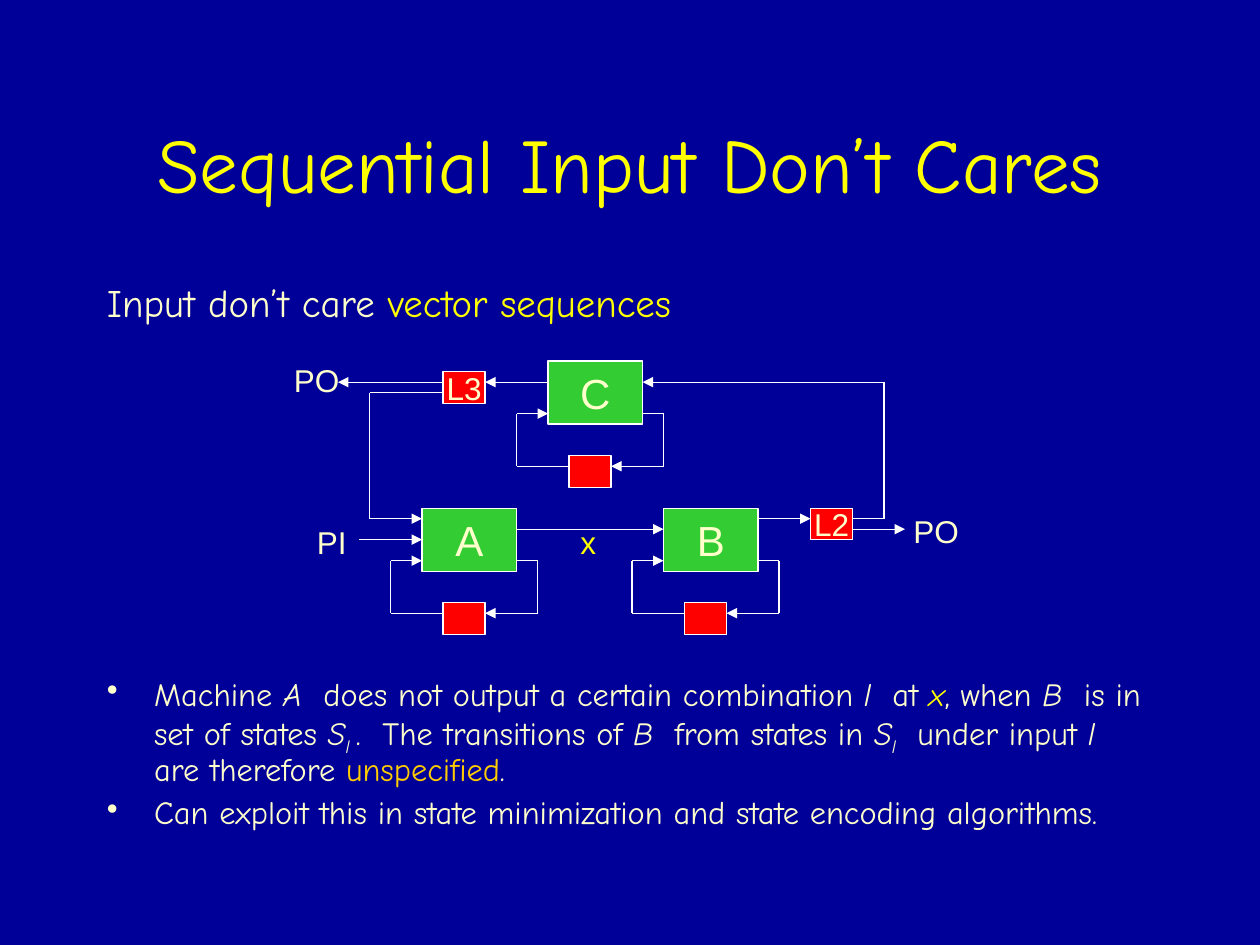
from itertools import pairwise

from pptx import Presentation
from pptx.dml.color import RGBColor
from pptx.enum.shapes import MSO_CONNECTOR as Connector, MSO_SHAPE as Preset
from pptx.enum.text import MSO_ANCHOR as Anchor, PP_ALIGN as Align
from pptx.oxml.ns import qn
from pptx.oxml.xmlchemy import OxmlElement
from pptx.util import Pt

PX = 7620
NAVY, CREAM, YELLOW, GOLD = "000099", "FFFFCC", "FFFF00", "FFCC00"
RED, GREEN, WHITE = "FF0000", "33CC33", "FFFFFF"
HAND, SANS = "Comic Neue", "Arial"
MACHINE, LATCH = (90, 60), (40, 30)
ITALIC = {"italic": True}
SUBSCRIPT = {"italic": True, "baseline": "-25000"}

BULLETS = [
    [("Machine ", {}), ("A", ITALIC), ("  does not output a certain combination ", {}),
     ("l", ITALIC), ("  at ", {}), ("x", {"italic": True, "color": YELLOW}),
     (", when ", {}), ("B", ITALIC), ("  is in set of states ", {}),
     ("S", ITALIC), ("l ", SUBSCRIPT), (".  The transitions of ", {}),
     ("B", ITALIC), ("  from states in ", {}), ("S", ITALIC), ("l", SUBSCRIPT),
     ("  under input ", {}), ("l", ITALIC), ("  are therefore ", {}),
     ("unspecified", {"color": GOLD}), (".", {})],
    [("Can exploit this in state minimization and state encoding algorithms.", {})],
]


def rgb(code):
    """Turn a hex string into a colour."""
    return RGBColor.from_string(code)


def px(*lengths):
    """Turn px lengths into EMU."""
    return [length * PX for length in lengths]


def write(paragraph, runs, size, name, color=CREAM):
    """Add styled runs to a paragraph."""
    for text, style in runs:
        run = paragraph.add_run()
        run.text = text
        look = {"size": Pt(size), "name": name, "italic": style.get("italic", False)}
        for key, value in look.items():
            setattr(run.font, key, value)
        run.font.color.rgb = rgb(style.get("color", color))
        if "baseline" in style:
            run.font._element.set("baseline", style["baseline"])


def text_frame(slide, box, anchor=Anchor.TOP, wrap=True):
    """Add a text box and return its frame."""
    frame = slide.shapes.add_textbox(*px(*box)).text_frame
    frame.word_wrap, frame.vertical_anchor = wrap, anchor
    return frame


def add_title(slide, box):
    """Place the centred heading."""
    heading = text_frame(slide, box, Anchor.MIDDLE).paragraphs[0]
    heading.alignment = Align.CENTER
    write(heading, [("Sequential Input Don’t Cares", {})], 44, HAND, YELLOW)


def add_lead(slide, box):
    """Place the line above the diagram."""
    lead = text_frame(slide, box).paragraphs[0]
    lead.space_before = Pt(6)
    write(lead, [("Input don’t care ", {}), ("vector sequences", {"color": YELLOW})],
          22.2, HAND)


def add_bullets(slide, box):
    """Place the bulleted conclusions."""
    frame = text_frame(slide, box)
    for index, runs in enumerate(BULLETS):
        point = frame.add_paragraph() if index else frame.paragraphs[0]
        for key, value in {"line_spacing": 0.9, "space_before": Pt(5)}.items():
            setattr(point, key, value)
        properties = point._p.get_or_add_pPr()
        properties.set("marL", str(45 * PX))
        properties.set("indent", str(-45 * PX))
        bullet = OxmlElement("a:buChar")
        bullet.set("char", "•")
        properties.append(bullet)
        write(point, runs, 18.5, HAND)


def add_block(slide, x, y, extent, fill, text="", size=18):
    """Place a machine or a latch."""
    block = slide.shapes.add_shape(Preset.FLOWCHART_PROCESS, *px(x, y, *extent))
    block.shadow.inherit = False
    block.fill.solid()
    block.fill.fore_color.rgb = rgb(fill)
    block.line.color.rgb = rgb(WHITE)
    block.line.width = Pt(0.75)
    if text:
        frame = block.text_frame
        frame.word_wrap, frame.vertical_anchor = False, Anchor.MIDDLE
        frame.paragraphs[0].alignment = Align.CENTER
        write(frame.paragraphs[0], [(text, {})], size, SANS)


def add_route(slide, x, y, points):
    """Draw straight wires through the points, with an arrowhead at the end."""
    for start, end in pairwise((x + dx, y + dy) for dx, dy in points):
        wire = slide.shapes.add_connector(Connector.STRAIGHT, *px(*start, *end))
        wire.line.color.rgb = rgb(WHITE)
        wire.line.width = Pt(0.75)
        wire._element.find(qn("p:spPr")).append(OxmlElement("a:effectLst"))
    head = OxmlElement("a:tailEnd")
    head.set("type", "triangle")
    wire.line._get_or_add_ln().append(head)


def add_machine(slide, x, y, name):
    """Place a machine with its state latch and feedback loop."""
    add_block(slide, x, y, MACHINE, GREEN, name, 24)
    add_block(slide, x + 20, y + 90, LATCH, RED)
    add_route(slide, x, y, [(90, 50), (110, 50), (110, 100), (60, 100)])
    add_route(slide, x, y, [(20, 100), (-30, 100), (-30, 50), (0, 50)])


def add_diagram(slide, x, y):
    """Place the network of machines from its top left corner."""
    for name, dx, dy in [("A", 140, 150), ("B", 370, 150), ("C", 260, 10)]:
        add_machine(slide, x + dx, y + dy, name)
    for name, dx, dy in [("L3", 160, 20), ("L2", 510, 150)]:
        add_block(slide, x + dx, y + dy, LATCH, RED, name)
    routes = [
        [(160, 30), (60, 30)],
        [(550, 170), (600, 170)],
        [(460, 160), (510, 160)],
        [(80, 180), (140, 180)],
        [(260, 30), (200, 30)],
        [(230, 170), (370, 170)],
        [(550, 160), (580, 160), (580, 30), (350, 30)],
        [(160, 40), (90, 40), (90, 160), (140, 160)],
    ]
    for points in routes:
        add_route(slide, x, y, points)
    labels = [("PI", 28, 158, 52, CREAM), ("PO", 6, 4, 67, CREAM),
              ("PO", 596, 148, 67, CREAM), ("x", 279, 158, 38, YELLOW)]
    for text, dx, dy, width, color in labels:
        frame = text_frame(slide, (x + dx, y + dy, width, 48), Anchor.MIDDLE, False)
        frame.paragraphs[0].alignment = Align.CENTER
        write(frame.paragraphs[0], [(text, {})], 18, SANS, color)


def main():
    """Build and save the slide."""
    deck = Presentation()
    deck.slide_width, deck.slide_height = px(1200, 900)
    slide = deck.slides.add_slide(deck.slide_layouts[6])
    slide.background.fill.solid()
    slide.background.fill.fore_color.rgb = rgb(NAVY)
    add_title(slide, (90, 80, 1020, 150))
    add_lead(slide, (90, 260, 1020, 60))
    add_bullets(slide, (90, 640, 1020, 220))
    add_diagram(slide, 262, 334)
    deck.save("out.pptx")


if __name__ == "__main__":
    main()
